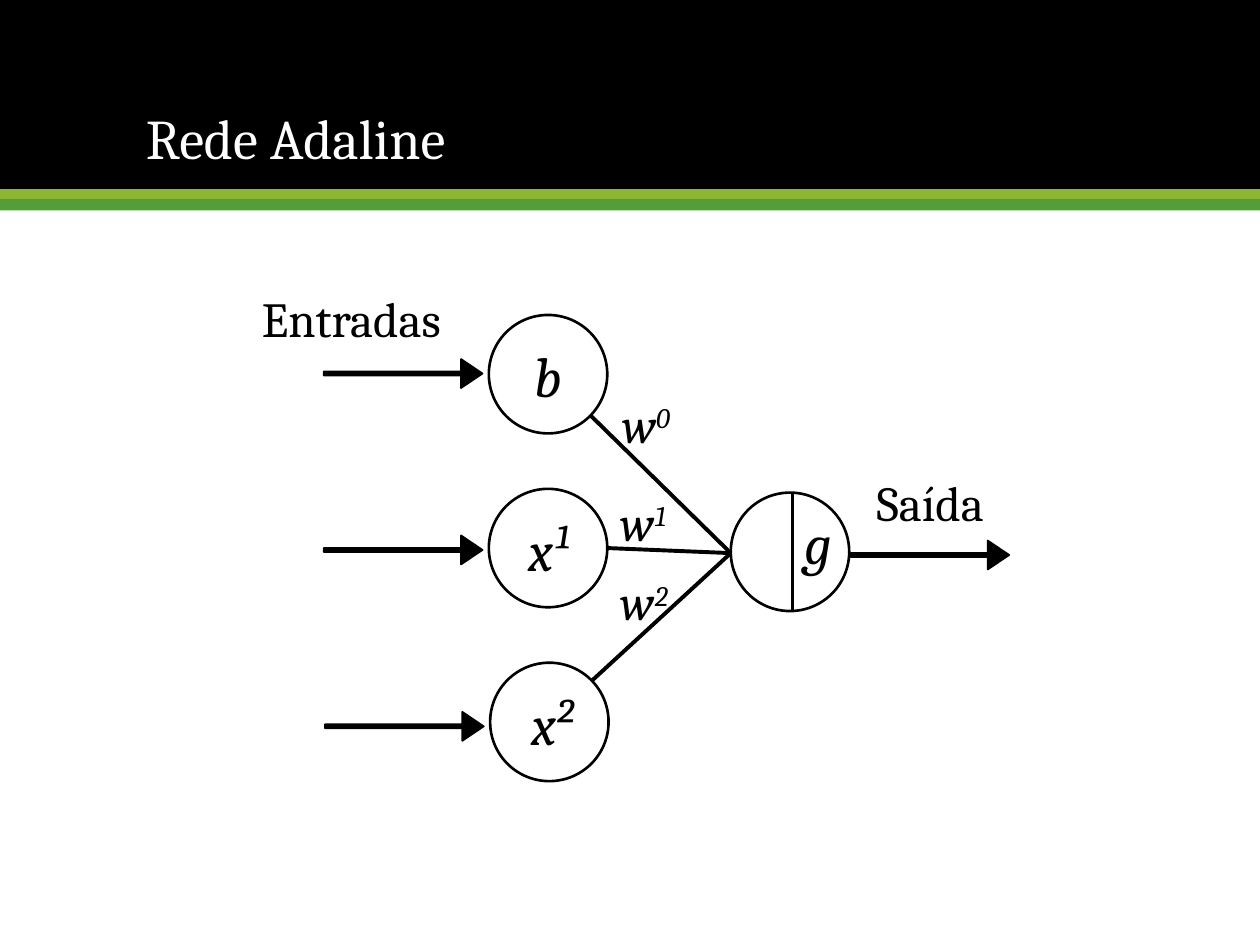
import pptx
import pptx.util
import pptx.dml.color
import pptx.enum.shapes
import pptx.enum.text
from dataclasses import dataclass
from lxml import etree
from pptx.util import Inches


@dataclass(frozen=True)
class Theme:
    font: str = "Cambria"
    black: str = "000000"
    white: str = "FFFFFF"
    lime: str = "8AB833"
    green: str = "549E39"
    large: int = 32
    medium: int = 28


theme = Theme()
shape_kinds = pptx.enum.shapes.MSO_SHAPE
rgb = pptx.dml.color.RGBColor.from_string

deck = pptx.Presentation()
deck.slide_width, deck.slide_height = Inches(10), Inches(7.5)
page = deck.slides.add_slide(deck.slide_layouts[6])


def add_shape(kind, left, top, width, height, fill=None, line_width=0):
    shape = page.shapes.add_shape(
        kind, Inches(left), Inches(top), Inches(width), Inches(height))
    shape.shadow.inherit = False
    if fill:
        shape.fill.solid()
        shape.fill.fore_color.rgb = rgb(fill)
    else:
        shape.fill.background()
    if line_width:
        shape.line.color.rgb = rgb(theme.black)
        shape.line.width = pptx.util.Pt(line_width)
    else:
        shape.line.fill.background()
    return shape


def add_text(text, left, top, width, height, size, color=theme.black,
             italic=False, superscript=""):
    box = page.shapes.add_textbox(
        Inches(left), Inches(top), Inches(width), Inches(height))
    box.text_frame.word_wrap = False
    para = box.text_frame.paragraphs[0]
    para.text = text
    if superscript:
        raised = para.add_run()
        raised.text = superscript
        raised.font._element.set("baseline", "30000")
    for span in para.runs:
        span.font.name = theme.font
        span.font.size = pptx.util.Pt(size)
        span.font.italic = italic
        span.font.color.rgb = rgb(color)
    return box


# Header bands and title
for top, height, color in [(0, 1.5, theme.black), (1.5, 0.09, theme.lime),
                           (1.58, 0.09, theme.green)]:
    add_shape(shape_kinds.RECTANGLE, 0, top, 10, height, color)

title = add_text("Rede Adaline", 1.06, 0.28, 7.88, 1.13, theme.large, theme.white)
title.text_frame.word_wrap = True
title.text_frame.vertical_anchor = pptx.enum.text.MSO_ANCHOR.BOTTOM
title.text_frame.paragraphs[0].line_spacing = 0.9

# Input neurons and output neuron
for left, top in [(3.88, 2.5), (3.88, 3.88), (3.89, 5.26), (5.8, 3.91)]:
    add_shape(shape_kinds.OVAL, left, top, 0.94, 0.94, line_width=1.5)

# Weighted links, then the divider of the output neuron
junction = (5.8, 4.39)
for start, end in [((4.69, 3.3), junction), ((4.82, 4.35), junction),
                   ((4.7, 5.4), junction), ((6.29, 3.91), (6.29, 4.86))]:
    link = page.shapes.add_connector(
        pptx.enum.shapes.MSO_CONNECTOR.STRAIGHT,
        *(Inches(value) for value in start + end))
    link.line.color.rgb = rgb(theme.black)
    link.line.width = pptx.util.Pt(2.25)
    etree.SubElement(link._element.spPr, pptx.oxml.ns.qn("a:effectLst"))

# Input and output arrows
for left, top in [(2.57, 2.85), (2.57, 4.25), (2.58, 5.65), (6.75, 4.29)]:
    arrow = add_shape(shape_kinds.RIGHT_ARROW, left, top, 1.26, 0.23, theme.black, 1)
    arrow.adjustments[0] = 0.14
    arrow.adjustments[1] = 0.74

# Neuron symbols
for symbol, left, top, width in [("b", 4.14, 2.66, 0.41), ("x¹", 4.1, 4.04, 0.56),
                                 ("x²", 4.12, 5.42, 0.56), ("g", 6.29, 3.99, 0.43)]:
    add_text(symbol, left, top, width, 0.64, theme.large, italic=True)

# Weights
for index, left, top in [("0", 4.84, 3.08), ("1", 4.83, 3.86), ("2", 4.83, 4.49)]:
    add_text("w", left, top, 0.62, 0.57, theme.medium, italic=True, superscript=index)

add_text("Entradas", 1.98, 2.24, 1.75, 0.57, theme.medium)
add_text("Saída", 6.86, 3.7, 1.15, 0.57, theme.medium)

deck.save("out.pptx")
